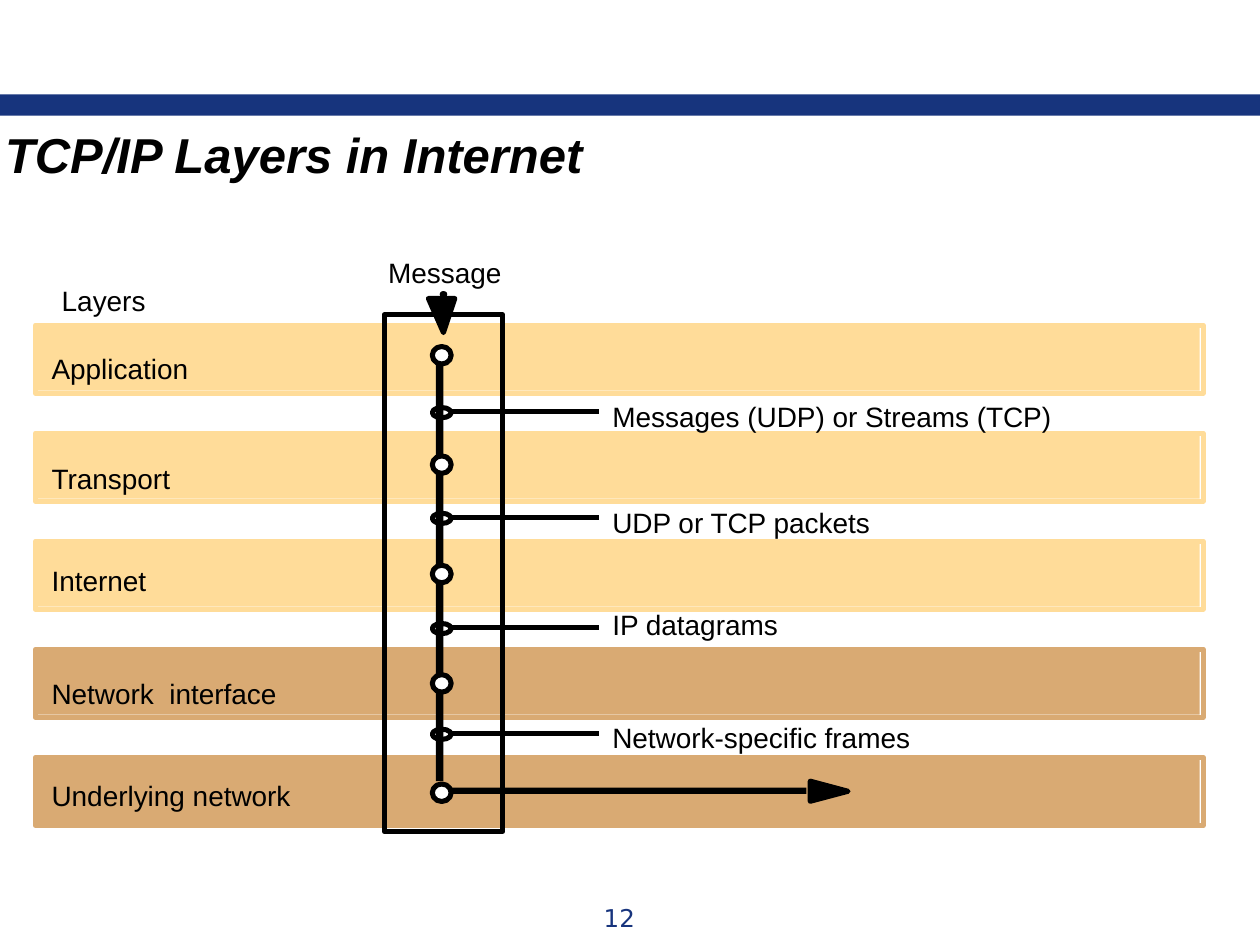
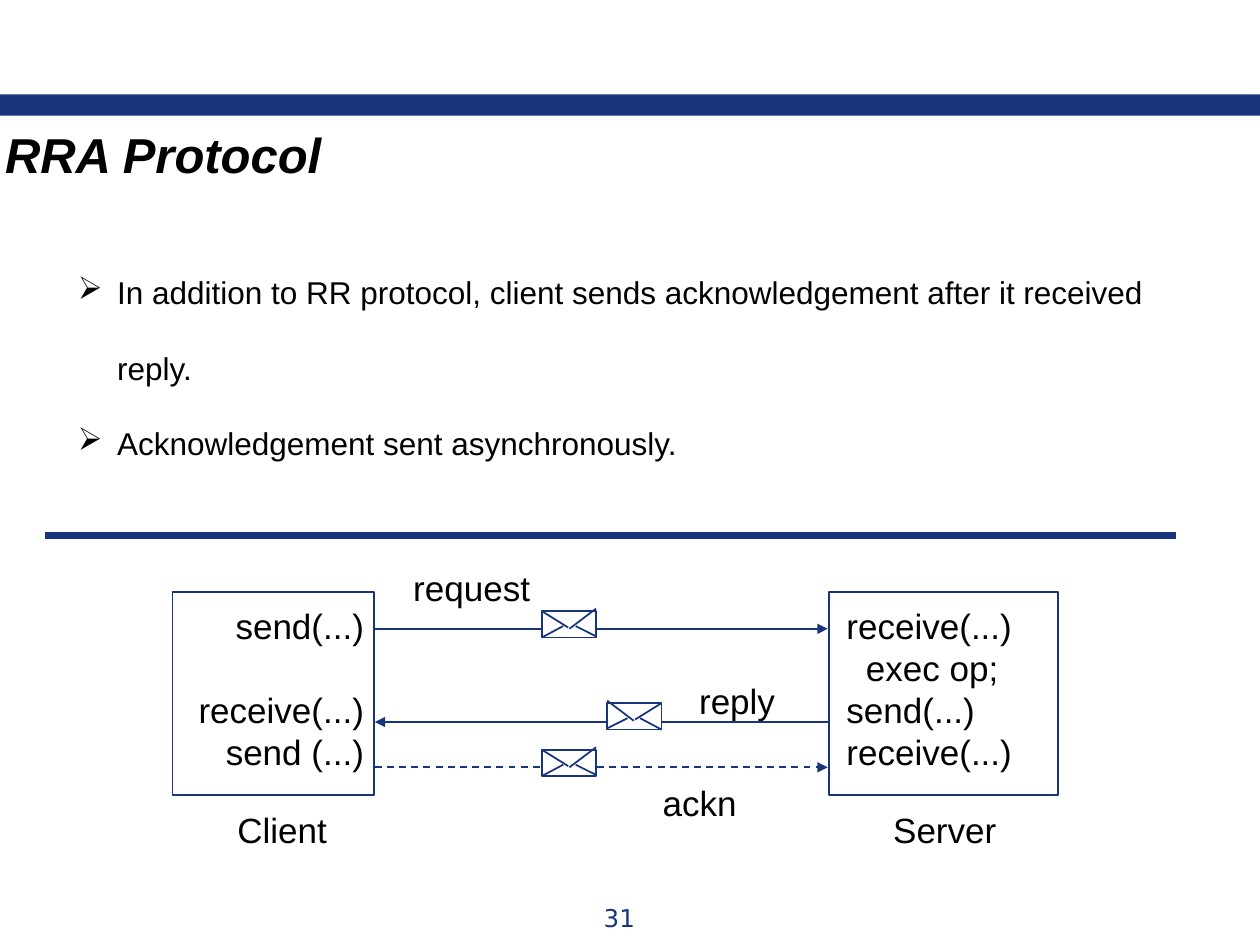
from dataclasses import dataclass
from typing import Any

from lxml import etree
from pptx import Presentation
from pptx.dml.color import RGBColor
from pptx.enum.dml import MSO_LINE
from pptx.enum.shapes import MSO_CONNECTOR, MSO_SHAPE
from pptx.enum.text import MSO_ANCHOR, MSO_AUTO_SIZE, PP_ALIGN
from pptx.oxml.ns import qn
from pptx.util import Pt

RECT, OVAL = MSO_SHAPE.RECTANGLE, MSO_SHAPE.OVAL
STRAIGHT = MSO_CONNECTOR.STRAIGHT
DASH = MSO_LINE.DASH
LEFT, CENTER, RIGHT = PP_ALIGN.LEFT, PP_ALIGN.CENTER, PP_ALIGN.RIGHT
TOP = MSO_ANCHOR.TOP
NO_FIT = MSO_AUTO_SIZE.NONE

NAVY, BLACK, WHITE = "17347D", "000000", "FFFFFF"
CREAM, TAN = "FFDC99", "D9AA73"
HEAVY = 2.88
TITLE_FONT = {"name": "Arial", "size": Pt(28), "bold": True, "italic": True}
PAGE_FONT = {"name": "DejaVu Sans", "size": Pt(14)}
LAYER_FONT = {"name": "Arial", "size": Pt(16)}
BULLET_FONT = {"name": "Arial", "size": Pt(18)}
CALL_FONT = {"name": "Arial", "size": Pt(20)}


@dataclass
class Box:
    left: float
    top: float
    width: float
    height: float

    def lengths(self) -> list[int]:
        return [Pt(v) for v in (self.left, self.top, self.width, self.height)]


@dataclass
class Layer:
    name: str
    name_top: float
    color: str


@dataclass
class Boundary:
    data: str
    text_top: float
    line_y: float


@dataclass
class Exchange:
    """One message between client and server."""
    label: str
    label_box: Box
    envelope_left: float
    envelope_top: float
    line_y: float
    to_server: bool = True
    dashed: bool = False


LAYERS = [
    Layer("Application", 200.9, CREAM),
    Layer("Transport", 263.5, CREAM),
    Layer("Internet", 321.8, CREAM),
    Layer("Network  interface", 386.6, TAN),
    Layer("Underlying network", 445, TAN),
]
BOUNDARIES = [
    Boundary("Messages (UDP) or Streams (TCP)", 228.2, 235.2),
    Boundary("UDP or TCP packets", 288.7, 295.6),
    Boundary("IP datagrams", 347, 358.6),
    Boundary("Network-specific frames", 411.8, 419),
]
EXCHANGES = [
    Exchange("request", Box(229, 320.4, 181.4, 32.4), 309.6, 349.2, 359.3),
    Exchange("reply", Box(392.4, 384.5, 70.6, 32.4), 347, 401.8, 412.6, to_server=False),
    Exchange("ackn", Box(371.5, 442.8, 70.6, 32.4), 309.6, 428.4, 438.5, dashed=True),
]


# Formatting
def rgb(color: str) -> RGBColor:
    return RGBColor.from_string(color)


def apply(target: Any, formats: dict[str, Any]) -> None:
    for name, value in formats.items():
        setattr(target, name, value)


def paint(shape: Any, fill: str | None, line: str | None, weight: float) -> None:
    shape.shadow.inherit = False
    if fill:
        shape.fill.solid()
        shape.fill.fore_color.rgb = rgb(fill)
    else:
        shape.fill.background()
    if line:
        shape.line.color.rgb = rgb(line)
        shape.line.width = Pt(weight)
    else:
        shape.line.fill.background()


# Drawing
def add_box(slide: Any, box: Box, fill: str | None = None, line: str | None = None,
            weight: float = HEAVY, kind: Any = RECT) -> None:
    paint(slide.shapes.add_shape(kind, *box.lengths()), fill, line, weight)


def add_outline(slide: Any, points: list[tuple[float, float]]) -> None:
    start, *others = [(Pt(x), Pt(y)) for x, y in points]
    builder = slide.shapes.build_freeform(*start)
    builder.add_line_segments(others, close=True)
    paint(builder.convert_to_shape(), BLACK, BLACK, HEAVY)


def add_line(slide: Any, start: tuple[float, float], end: tuple[float, float], color: str = NAVY,
             weight: float = 1, dashed: bool = False, arrow: bool = False) -> None:
    line = slide.shapes.add_connector(STRAIGHT, *[Pt(v) for v in (*start, *end)])
    line.line.color.rgb = rgb(color)
    line.line.width = Pt(weight)
    if dashed:
        line.line.dash_style = DASH
    properties = line._element.spPr
    if arrow:
        etree.SubElement(properties.find(qn("a:ln")), qn("a:tailEnd"), type="triangle")
    etree.SubElement(properties, qn("a:effectLst"))


def add_text(slide: Any, box: Box, lines: list[str], font: dict[str, Any], color: str = BLACK,
             align: Any = LEFT, wrap: bool = False, inset: bool = True) -> Any:
    frame = slide.shapes.add_textbox(*box.lengths()).text_frame
    apply(frame, {"word_wrap": wrap, "auto_size": NO_FIT, "vertical_anchor": TOP})
    if not inset:
        apply(frame, {f"margin_{side}": 0 for side in ("left", "top", "right", "bottom")})
    for index, text in enumerate(lines):
        paragraph = frame.paragraphs[0] if index == 0 else frame.add_paragraph()
        paragraph.alignment = align
        run = paragraph.add_run()
        run.text = text
        apply(run.font, font)
        run.font.color.rgb = rgb(color)
    return frame


# Shared slide frame
def new_slide(deck: Any, title: str, title_width: float, number: str) -> Any:
    slide = deck.slides.add_slide(deck.slide_layouts[5])
    add_box(slide, Box(0, 54, 720, 12.2), NAVY)
    heading = slide.shapes.title
    place = Box(-4.3, 67.7, title_width, 41).lengths()
    apply(heading, dict(zip(("left", "top", "width", "height"), place)))
    frame = heading.text_frame
    frame.text = title
    apply(frame, {"word_wrap": False, "auto_size": NO_FIT, "vertical_anchor": TOP})
    frame.paragraphs[0].alignment = LEFT
    font = frame.paragraphs[0].runs[0].font
    apply(font, TITLE_FONT)
    font.color.rgb = rgb(BLACK)
    add_text(slide, Box(270, 512.6, 167.8, 24.5), [number], PAGE_FONT, NAVY, CENTER, wrap=True)
    return slide


# TCP/IP layers
def build_layers(deck: Any) -> None:
    slide = new_slide(deck, "TCP/IP Layers in Internet", 349.2, "12")

    def label(left: float, top: float, width: float, text: str) -> None:
        add_text(slide, Box(left, top, width, 19.4), [text], LAYER_FONT, inset=False)

    for index, layer in enumerate(LAYERS):
        top = 185.8 + 61.75 * index
        add_box(slide, Box(20.2, top, 665.3, 37.4), layer.color)
        add_box(slide, Box(20.2, top, 667.4, 38.9), line=layer.color)
        label(29.5, layer.name_top, 150, layer.name)
    label(35.3, 162, 52, "Layers")
    label(221.8, 146.2, 70.6, "Message")

    # Protocol stack and the message path through it
    add_box(slide, Box(219.6, 180, 67.7, 295.2), line=BLACK)
    add_box(slide, Box(249.1, 205.9, 4.3, 240.5), BLACK)
    for boundary in BOUNDARIES:
        y = boundary.line_y
        label(349.9, boundary.text_top, 273, boundary.data)
        add_line(slide, (342, y), (257.8, y), BLACK, HEAVY)
        add_box(slide, Box(247, y - 2.3, 10.8, 5.8), line=BLACK, kind=OVAL)

    # Arrows into and out of the stack
    add_box(slide, Box(251.3, 166.3, 4.3, 3.6), BLACK, kind=OVAL)
    add_outline(slide, [(244.8, 170.6), (259.9, 170.6), (253.4, 190.1)])
    add_box(slide, Box(251.3, 450, 209.5, 3.6), BLACK)
    add_outline(slide, [(463, 446.4), (484.6, 452.2), (463, 457.9)])
    for index in range(len(LAYERS)):
        add_box(slide, Box(247, 198 + 62.5 * index, 10.8, 10), WHITE, BLACK, kind=OVAL)


# RRA protocol
def add_envelope(slide: Any, left: float, top: float, mirrored: bool) -> None:
    width = 31
    add_box(slide, Box(left, top, width, 15.1), line=NAVY, weight=1)
    flaps = [((0, 0), (15.1, 9.4)), ((15.8, 10.1), (width, -1.4)),
             ((12.2, 8.6), (0, 15.1)), ((19.4, 8.6), (width, 14.4))]
    for flap in flaps:
        start, end = [(left + (width - x if mirrored else x), top + y) for x, y in flap]
        add_line(slide, start, end)


def build_rra(deck: Any) -> None:
    slide = new_slide(deck, "RRA Protocol", 197.3, "31")
    points = add_text(slide, Box(37.4, 131, 628.6, 138.2), [
        "In addition to RR protocol, client sends acknowledgement after it received reply.",
        "Acknowledgement sent asynchronously.",
    ], BULLET_FONT, wrap=True)
    for paragraph in points.paragraphs:
        paragraph.line_spacing = 2.0
        properties = paragraph._p.get_or_add_pPr()
        properties.set("marL", str(Pt(22.5)))
        properties.set("indent", str(-Pt(22.5)))
        etree.SubElement(properties, qn("a:buChar"), char="➢")
    add_line(slide, (25.9, 306), (671.8, 306), weight=4)

    # Client and server
    add_box(slide, Box(98.6, 338.4, 115.2, 115.9), line=NAVY, weight=1)
    add_box(slide, Box(473.8, 338.4, 131, 115.9), line=NAVY, weight=1)
    client = add_text(slide, Box(105.8, 342, 109.4, 103.7),
                      ["send(...)", "receive(...)", "send (...)"], CALL_FONT, align=RIGHT)
    client.paragraphs[1].space_before = Pt(24)
    add_text(slide, Box(476.6, 342, 109.4, 103.7),
             ["receive(...)", "  exec op;", "send(...)", "receive(...)"], CALL_FONT)
    add_text(slide, Box(127.4, 458.6, 67.7, 32.4), ["Client"], CALL_FONT, align=CENTER)
    add_text(slide, Box(503.3, 458.6, 75.6, 32.4), ["Server"], CALL_FONT)

    # Messages
    for exchange in EXCHANGES:
        left, y = exchange.envelope_left, exchange.line_y
        add_text(slide, exchange.label_box, [exchange.label], CALL_FONT, wrap=True)
        add_envelope(slide, left, exchange.envelope_top, not exchange.to_server)
        stops = [214.2, left - 0.5, left + 31.5, 473]
        if not exchange.to_server:
            stops.reverse()
        add_line(slide, (stops[0], y), (stops[1], y), dashed=exchange.dashed)
        add_line(slide, (stops[2], y), (stops[3], y), dashed=exchange.dashed, arrow=True)


def main() -> None:
    deck = Presentation()
    deck.slide_width, deck.slide_height = Pt(720), Pt(540)
    build_layers(deck)
    build_rra(deck)
    deck.save("out.pptx")


if __name__ == "__main__":
    main()
